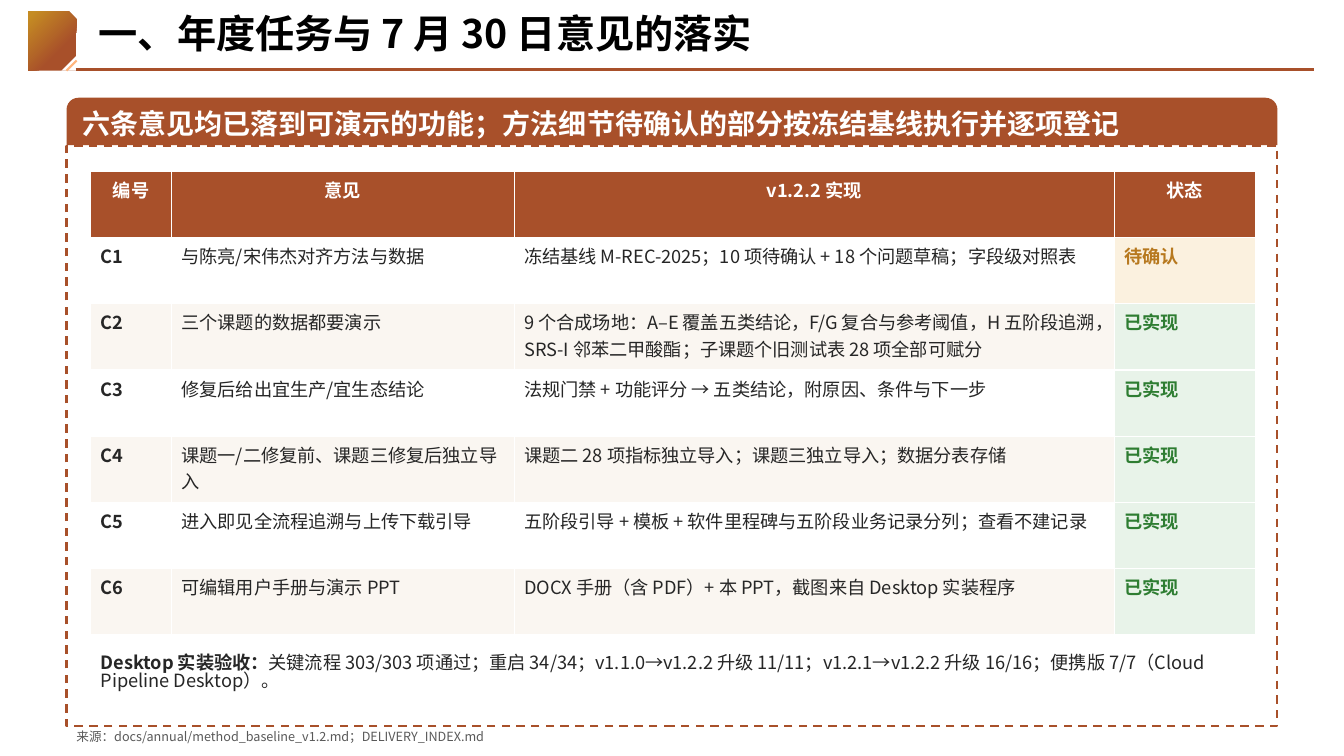
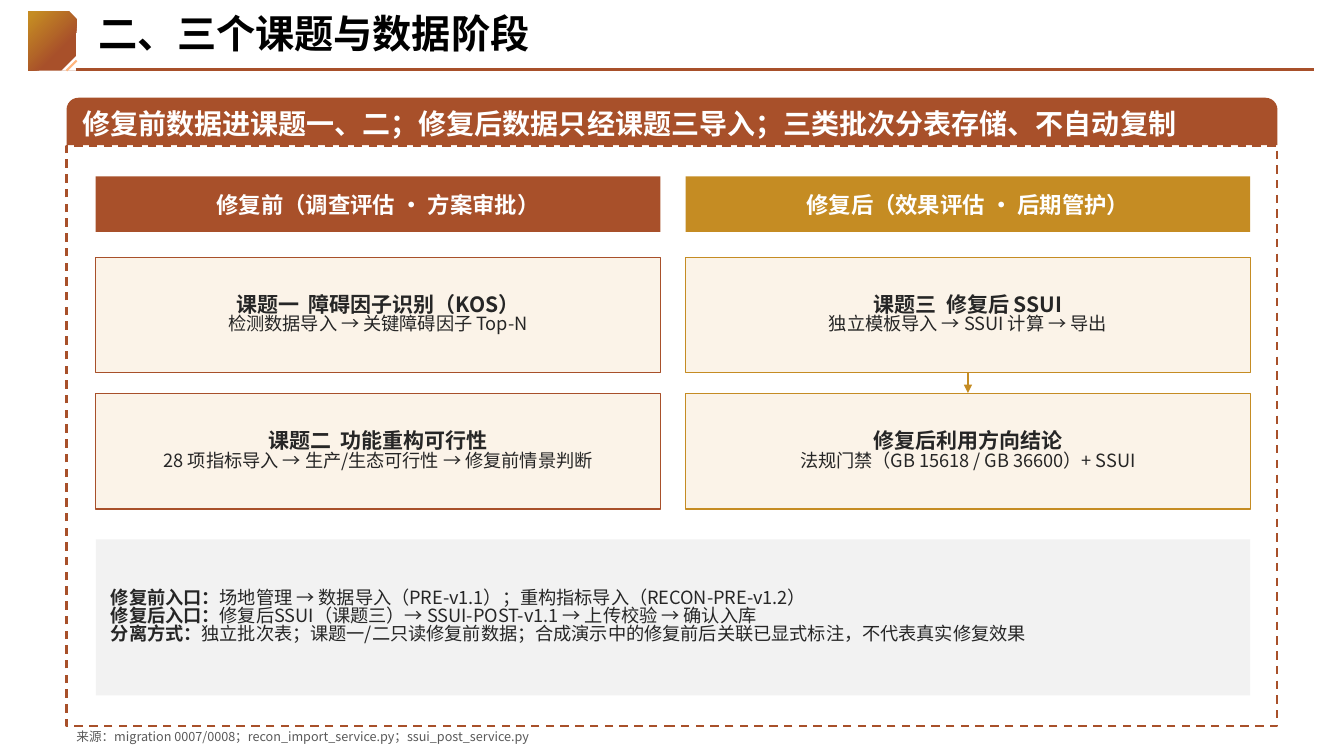
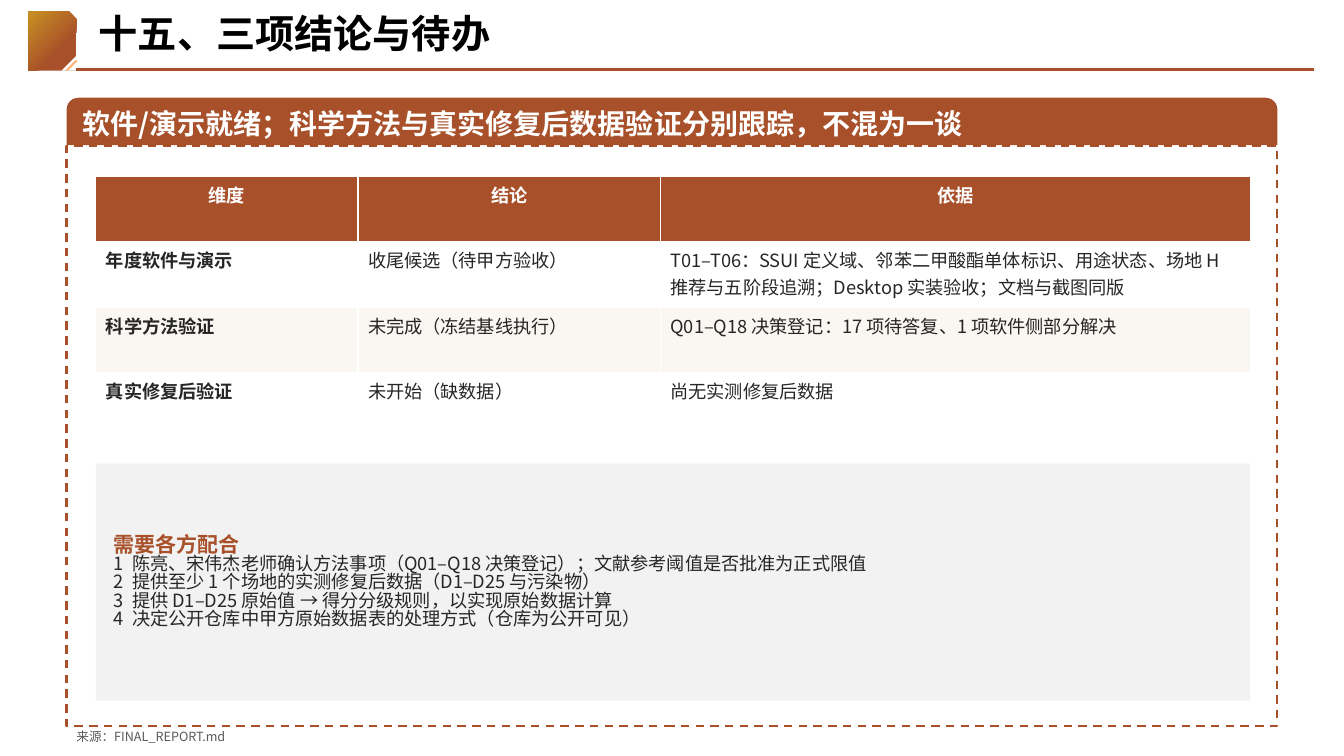
from lxml import etree
from pptx import Presentation
from pptx.dml.color import RGBColor
from pptx.enum.dml import MSO_LINE
from pptx.enum.shapes import MSO_CONNECTOR, MSO_SHAPE
from pptx.enum.text import MSO_ANCHOR, MSO_AUTO_SIZE, PP_ALIGN
from pptx.oxml.ns import qn
from pptx.util import Inches, Pt

FONT = "Noto Sans CJK SC"
COLORS = {
    "rust": "A8502A", "gold": "C58C23", "peach": "FFB57D", "cream": "FBF3E8",
    "stripe": "FAF6F1", "white": "FFFFFF", "black": "000000", "ink": "262626",
    "muted": "595959", "panel": "F2F2F2", "amber": "B7791F", "amber_bg": "FBF1DF",
    "green": "2E7D32", "green_bg": "E8F3E9",
}
STATUS = {"待确认": ("amber", "amber_bg"), "已实现": ("green", "green_bg")}

# Page grid, in inches
PAGE_W, PAGE_H = 13.33, 7.5
FRAME_X, FRAME_W = 0.66, 12.01
BANNER_Y, BANNER_H = 0.97, 0.47
FRAME_Y, FRAME_H = 1.45, 5.75
BODY_X, BODY_Y, BODY_W = 0.95, 1.75, 11.45
TIGHT = 0.83

# Content
PAGES = [
    {"title": "一、年度任务与 7 月 30 日意见的落实",
     "banner": "六条意见均已落到可演示的功能；方法细节待确认的部分按冻结基线执行并逐项登记",
     "source": "来源：docs/annual/method_baseline_v1.2.md；DELIVERY_INDEX.md"},
    {"title": "二、三个课题与数据阶段",
     "banner": "修复前数据进课题一、二；修复后数据只经课题三导入；三类批次分表存储、不自动复制",
     "source": "来源：migration 0007/0008；recon_import_service.py；ssui_post_service.py"},
    {"title": "十五、三项结论与待办",
     "banner": "软件/演示就绪；科学方法与真实修复后数据验证分别跟踪，不混为一谈",
     "source": "来源：FINAL_REPORT.md"},
]
OPINIONS = [
    ("编号", "意见", "v1.2.2 实现", "状态"),
    ("C1", "与陈亮/宋伟杰对齐方法与数据",
     "冻结基线 M-REC-2025；10 项待确认 + 18 个问题草稿；字段级对照表", "待确认"),
    ("C2", "三个课题的数据都要演示",
     "9 个合成场地：A–E 覆盖五类结论，F/G 复合与参考阈值，H 五阶段追溯，"
     "SRS-I 邻苯二甲酸酯；子课题个旧测试表 28 项全部可赋分", "已实现"),
    ("C3", "修复后给出宜生产/宜生态结论",
     "法规门禁 + 功能评分 → 五类结论，附原因、条件与下一步", "已实现"),
    ("C4", "课题一/二修复前、课题三修复后独立导入",
     "课题二 28 项指标独立导入；课题三独立导入；数据分表存储", "已实现"),
    ("C5", "进入即见全流程追溯与上传下载引导",
     "五阶段引导 + 模板 + 软件里程碑与五阶段业务记录分列；查看不建记录", "已实现"),
    ("C6", "可编辑用户手册与演示 PPT",
     "DOCX 手册（含 PDF）+ 本 PPT，截图来自 Desktop 实装程序", "已实现"),
]
ACCEPTANCE = (
    "Desktop 实装验收：",
    "关键流程 303/303 项通过；重启 34/34；v1.1.0→v1.2.2 升级 11/11；"
    "v1.2.1→v1.2.2 升级 16/16；便携版 7/7（Cloud Pipeline Desktop）。")
STAGES = [
    {"head": "修复前（调查评估 · 方案审批）", "color": "rust", "flow": False, "cards": [
        ("课题一  障碍因子识别（KOS）", "检测数据导入 → 关键障碍因子 Top-N"),
        ("课题二  功能重构可行性", "28 项指标导入 → 生产/生态可行性 → 修复前情景判断")]},
    {"head": "修复后（效果评估 · 后期管护）", "color": "gold", "flow": True, "cards": [
        ("课题三  修复后 SSUI", "独立模板导入 → SSUI 计算 → 导出"),
        ("修复后利用方向结论", "法规门禁（GB 15618 / GB 36600）+ SSUI")]},
]
ENTRIES = [
    ("修复前入口：", "场地管理 → 数据导入（PRE-v1.1）；重构指标导入（RECON-PRE-v1.2）"),
    ("修复后入口：", "修复后SSUI（课题三）→ SSUI-POST-v1.1 → 上传校验 → 确认入库"),
    ("分离方式：", "独立批次表；课题一/二只读修复前数据；合成演示中的修复前后关联已显式标注，"
     "不代表真实修复效果"),
]
CONCLUSIONS = [
    ("维度", "结论", "依据"),
    ("年度软件与演示", "收尾候选（待甲方验收）",
     "T01–T06：SSUI 定义域、邻苯二甲酸酯单体标识、用途状态、场地 H 推荐与五阶段追溯；"
     "Desktop 实装验收；文档与截图同版"),
    ("科学方法验证", "未完成（冻结基线执行）", "Q01–Q18 决策登记：17 项待答复、1 项软件侧部分解决"),
    ("真实修复后验证", "未开始（缺数据）", "尚无实测修复后数据"),
]
REQUESTS_HEAD = "需要各方配合"
REQUESTS = [
    "1  陈亮、宋伟杰老师确认方法事项（Q01–Q18 决策登记）；文献参考阈值是否批准为正式限值",
    "2  提供至少 1 个场地的实测修复后数据（D1–D25 与污染物）",
    "3  提供 D1–D25 原始值 → 得分分级规则，以实现原始数据计算",
    "4  决定公开仓库中甲方原始数据表的处理方式（仓库为公开可见）",
]


def rgb(name):
    return RGBColor.from_string(COLORS[name])


def run(text, size=13, color="ink", bold=False):
    return text, size, color, bold


def write(frame, paragraphs, align=PP_ALIGN.LEFT, spacing=None):
    """Fill a text frame with paragraphs, each a list of runs."""
    frame.word_wrap = True
    for i, runs in enumerate(paragraphs):
        para = frame.paragraphs[0] if i == 0 else frame.add_paragraph()
        para.alignment = align
        if spacing:
            para.line_spacing = spacing
        for text, size, color, bold in runs:
            piece = para.add_run()
            piece.text = text
            font = piece.font
            font.name, font.size, font.bold = FONT, Pt(size), bold
            font.color.rgb = rgb(color)
            east_asian = etree.SubElement(font._element, qn("a:ea"))
            east_asian.set("typeface", FONT)


def place(part, box):
    part.left, part.top, part.width, part.height = map(Inches, box)


def add_block(slide, kind, box, fill=None, line=None, width=0.75):
    block = slide.shapes.add_shape(kind, *map(Inches, box))
    block.shadow.inherit = False
    if fill:
        block.fill.solid()
        block.fill.fore_color.rgb = rgb(fill)
    else:
        block.fill.background()
    if line:
        block.line.color.rgb = rgb(line)
        block.line.width = Pt(width)
    else:
        block.line.fill.background()
    return block


def add_panel(slide, box, paragraphs, inset, fill, line=None, align=PP_ALIGN.LEFT,
              spacing=None, kind=MSO_SHAPE.RECTANGLE):
    panel = add_block(slide, kind, box, fill, line)
    frame = panel.text_frame
    frame.vertical_anchor = MSO_ANCHOR.MIDDLE
    frame.margin_left = frame.margin_right = Inches(inset)
    frame.margin_top = frame.margin_bottom = Inches(inset)
    write(frame, paragraphs, align, spacing)
    return panel


def add_text(slide, box, paragraphs, spacing):
    note = slide.shapes.add_textbox(*map(Inches, box))
    write(note.text_frame, paragraphs, spacing=spacing)
    note.text_frame.auto_size = MSO_AUTO_SIZE.SHAPE_TO_FIT_TEXT


def add_line(slide, start, end, color):
    line = slide.shapes.add_connector(
        MSO_CONNECTOR.STRAIGHT, *map(Inches, start + end))
    line.line.color.rgb = rgb(color)
    line.line.width = Pt(1.5)
    etree.SubElement(line._element.spPr, qn("a:effectLst"))
    return line


def border_cell(cell):
    props = cell._tc.get_or_add_tcPr()
    for i, side in enumerate(("lnL", "lnR", "lnT", "lnB")):
        edge = etree.Element(qn(f"a:{side}"), w=str(Pt(1)))
        fill = etree.SubElement(edge, qn("a:solidFill"))
        etree.SubElement(fill, qn("a:srgbClr"), val=COLORS["white"])
        props.insert(i, edge)


def add_grid(slide, box, widths, rows):
    """Header row in rust, striped body, bold first column, coloured status."""
    grid = slide.shapes.add_table(len(rows), len(widths), *map(Inches, box)).table
    for column, width in zip(grid.columns, widths):
        column.width = Inches(width)
    for r, texts in enumerate(rows):
        grid.rows[r].height = Inches(box[3] / len(rows))
        for c, text in enumerate(texts):
            cell = grid.cell(r, c)
            if r == 0:
                color, fill, bold = "white", "rust", True
            elif text in STATUS:
                color, fill = STATUS[text]
                bold = True
            else:
                color, fill, bold = "ink", "white" if r % 2 else "stripe", c == 0
            cell.fill.solid()
            cell.fill.fore_color.rgb = rgb(fill)
            border_cell(cell)
            write(cell.text_frame, [[run(text, 13, color, bold)]],
                  PP_ALIGN.CENTER if r == 0 else PP_ALIGN.LEFT)


def decorate_layout(layout, slide):
    """Draw the corner mark and title rule, then move them to the layout."""
    mark = add_block(slide, MSO_SHAPE.SNIP_1_RECTANGLE, (0.28, 0.11, 0.48, 0.59))
    mark.fill.gradient()
    mark.fill.gradient_angle = 135
    for stop, (color, position) in zip(mark.fill.gradient_stops,
                                       (("rust", 0.33), ("gold", 0.94))):
        stop.color.rgb = rgb(color)
        stop.position = position
    notch = add_block(slide, MSO_SHAPE.RIGHT_TRIANGLE, (0.61, 0.55, 0.15, 0.15), "white")
    notch.rotation = 270
    accent = add_line(slide, (0.66, 0.7), (0.76, 0.6), "peach")
    rule = add_line(slide, (0.75, 0.69), (13.03, 0.69), "rust")
    for part in (mark, notch, accent, rule):
        layout.shapes.element.append(part.element)


def start_page(slide, page):
    """Dashed frame, title, banner and source line."""
    frame = add_block(slide, MSO_SHAPE.RECTANGLE,
                      (FRAME_X, FRAME_Y, FRAME_W, FRAME_H), None, "rust", 1.5)
    frame.line.dash_style = MSO_LINE.DASH
    title = slide.shapes.title
    place(title, (0.88, 0.09, 12.05, 0.6))
    title.text_frame.vertical_anchor = MSO_ANCHOR.TOP
    title.text_frame.auto_size = MSO_AUTO_SIZE.NONE
    write(title.text_frame, [[run(page["title"], 28, "black", True)]], spacing=0.9)
    banner = add_panel(slide, (FRAME_X, BANNER_Y, FRAME_W, BANNER_H),
                       [[run(page["banner"], 20, "white", True)]], 0.12, "rust",
                       kind=MSO_SHAPE.ROUND_2_SAME_RECTANGLE)
    banner.adjustments[0] = 0.25
    add_text(slide, (FRAME_X, FRAME_Y + FRAME_H, 12, 0.28),
             [[run(page["source"], 9, "muted")]], 0.9)


def labelled(label, text):
    return [run(label, bold=True), run(text)]


def fill_opinions(slide):
    add_grid(slide, (0.9, 1.7, 11.55, 4.6), (0.8, 3.4, 5.95, 1.4), OPINIONS)
    add_text(slide, (0.9, 6.45, 11.5, 0.6), [labelled(*ACCEPTANCE)], TIGHT)


def fill_stages(slide):
    gap = 0.25
    column_w = (BODY_W - gap) / 2
    card_y, card_h, card_gap = 2.55, 1.15, 0.2
    for i, stage in enumerate(STAGES):
        x = BODY_X + i * (column_w + gap)
        add_panel(slide, (x, BODY_Y, column_w, 0.55),
                  [[run(stage["head"], 16, "white", True)]], 0.05, stage["color"],
                  align=PP_ALIGN.CENTER)
        cards = [
            add_panel(slide, (x, card_y + j * (card_h + card_gap), column_w, card_h),
                      [[run(name, 15, bold=True)], [run(detail)]], 0.05, "cream",
                      stage["color"], PP_ALIGN.CENTER, TIGHT)
            for j, (name, detail) in enumerate(stage["cards"])]
        if stage["flow"]:
            middle, bottom = x + column_w / 2, card_y + card_h
            arrow = add_line(slide, (middle, bottom), (middle, bottom + card_gap),
                             stage["color"])
            arrow.begin_connect(cards[0], 2)
            arrow.end_connect(cards[1], 0)
            etree.SubElement(arrow.line._get_or_add_ln(), qn("a:tailEnd"), type="triangle")
    add_panel(slide, (BODY_X, 5.35, BODY_W, 1.55),
              [labelled(*entry) for entry in ENTRIES], 0.15, "panel", spacing=TIGHT)


def fill_conclusions(slide):
    add_grid(slide, (BODY_X, BODY_Y, BODY_W, 2.6), (2.6, 3, 5.85), CONCLUSIONS)
    add_panel(slide, (BODY_X, 4.6, BODY_W, 2.35),
              [[run(REQUESTS_HEAD, 15, "rust", True)]] + [[run(r)] for r in REQUESTS],
              0.18, "panel", spacing=TIGHT)


def main():
    deck = Presentation()
    deck.slide_width, deck.slide_height = Inches(PAGE_W), Inches(PAGE_H)
    layout = deck.slide_layouts[5]
    for i, (page, fill_body) in enumerate(
            zip(PAGES, (fill_opinions, fill_stages, fill_conclusions))):
        slide = deck.slides.add_slide(layout)
        if i == 0:
            decorate_layout(layout, slide)
        start_page(slide, page)
        fill_body(slide)
    deck.save("out.pptx")


if __name__ == "__main__":
    main()
